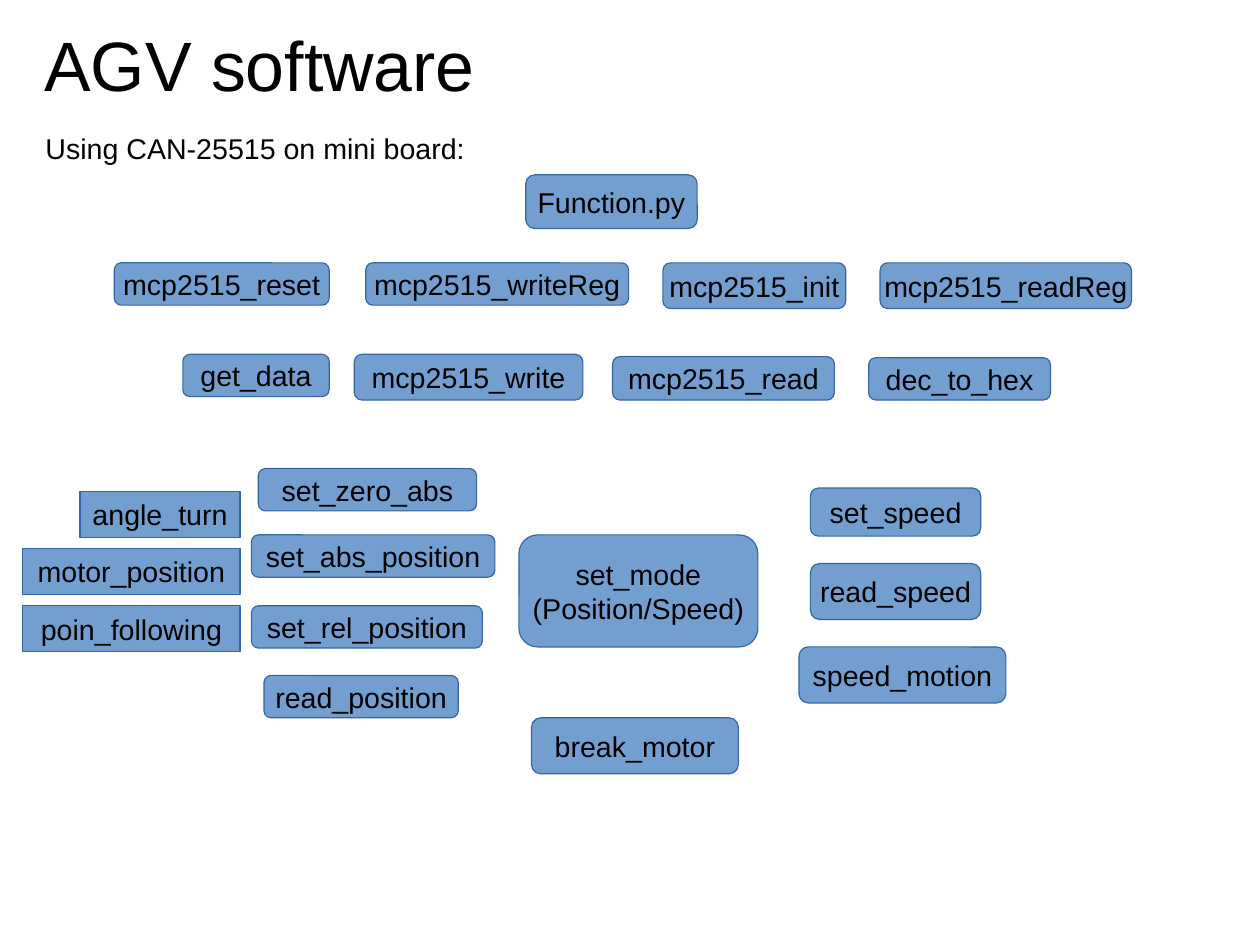
from pptx import Presentation
from pptx import util as u
from pptx.dml.color import RGBColor
from pptx.enum import shapes, text

PX = 9144  # EMU per px, 100 px to the inch
FONT = "Arial"
BLACK = RGBColor(0x00, 0x00, 0x00)
BLUE = RGBColor(0x72, 0x9F, 0xCF)
EDGE = RGBColor(0x34, 0x65, 0xA4)
RECT = shapes.MSO_SHAPE.RECTANGLE
ROUNDED = shapes.MSO_SHAPE.ROUNDED_RECTANGLE

# Function boxes: label, left, top, width, height
FUNCTIONS = [
    ("Function.py", 460, 153, 150, 47),
    # Controller access
    ("mcp2515_reset", 100, 230, 188, 37),
    ("mcp2515_writeReg", 320, 230, 230, 37),
    ("mcp2515_init", 580, 230, 160, 40),
    ("mcp2515_readReg", 770, 230, 220, 40),
    ("get_data", 160, 310, 128, 37),
    ("mcp2515_write", 310, 310, 200, 40),
    ("mcp2515_read", 536, 312, 194, 38),
    ("dec_to_hex", 760, 313, 159, 37),
    # Position control
    ("set_zero_abs", 226, 410, 191, 37),
    ("set_abs_position", 220, 468, 213, 37),
    ("set_rel_position", 220, 530, 202, 37),
    ("read_position", 231, 591, 170, 37),
    # Mode and brake
    ("set_mode\n(Position/Speed)", 454, 468, 209, 98),
    ("break_motor", 465, 628, 181, 49),
    # Speed control
    ("set_speed", 709, 427, 149, 42),
    ("read_speed", 709, 493, 149, 49),
    ("speed_motion", 699, 566, 181, 49),
]

# Motion routines: label, width; stacked and aligned on the right
ROUTINES = [("angle_turn", 140), ("motor_position", 190), ("poin_following", 190)]
ROUTINE_RIGHT, ROUTINE_TOP, ROUTINE_STEP = 210, 430, 50


def place(sp, left, top, width, height):
    sp.left, sp.top = u.Emu(left * PX), u.Emu(top * PX)
    sp.width, sp.height = u.Emu(width * PX), u.Emu(height * PX)


def write(tf, label, size, align):
    for i, line in enumerate(label.split("\n")):
        p = tf.add_paragraph() if i else tf.paragraphs[0]
        p.alignment = align
        r = p.add_run()
        r.text = line
        r.font.name = FONT
        r.font.size = u.Pt(size)
        r.font.color.rgb = BLACK


def add_title(s, label):
    sp = s.shapes.title
    place(sp, 30, 22, 395, 68)
    tf = sp.text_frame
    tf.margin_left = tf.margin_right = tf.margin_top = tf.margin_bottom = 0
    tf.vertical_anchor = text.MSO_ANCHOR.MIDDLE
    tf.word_wrap = True
    tf.auto_size = text.MSO_AUTO_SIZE.NONE
    write(tf, label, 44, text.PP_ALIGN.CENTER)


def add_intro(s, label):
    sp = s.shapes.add_textbox(0, 0, 0, 0)
    place(sp, 30, 110, 400, 66)
    sp.text_frame.word_wrap = True
    write(sp.text_frame, label, 18, text.PP_ALIGN.LEFT)


def add_box(s, kind, label, left, top, width, height):
    sp = s.shapes.add_shape(kind, 0, 0, 0, 0)
    place(sp, left, top, width, height)
    sp.shadow.inherit = False
    sp.fill.solid()
    sp.fill.fore_color.rgb = BLUE
    sp.line.color.rgb = EDGE
    sp.line.width = 0
    tf = sp.text_frame
    tf.word_wrap = False
    tf.vertical_anchor = text.MSO_ANCHOR.MIDDLE
    write(tf, label, 18, text.PP_ALIGN.CENTER)


def main():
    prs = Presentation()
    prs.slide_width, prs.slide_height = u.Cm(28), u.Cm(21)
    s = prs.slides.add_slide(prs.slide_layouts.get_by_name("Title Only"))

    # Heading
    add_title(s, "AGV software")
    add_intro(s, "Using CAN-25515 on mini board:")

    # Diagram
    for label, *frame in FUNCTIONS:
        add_box(s, ROUNDED, label, *frame)
    for i, (label, width) in enumerate(ROUTINES):
        top = ROUTINE_TOP + i * ROUTINE_STEP
        add_box(s, RECT, label, ROUTINE_RIGHT - width, top, width, 40)

    prs.save("out.pptx")


if __name__ == "__main__":
    main()
